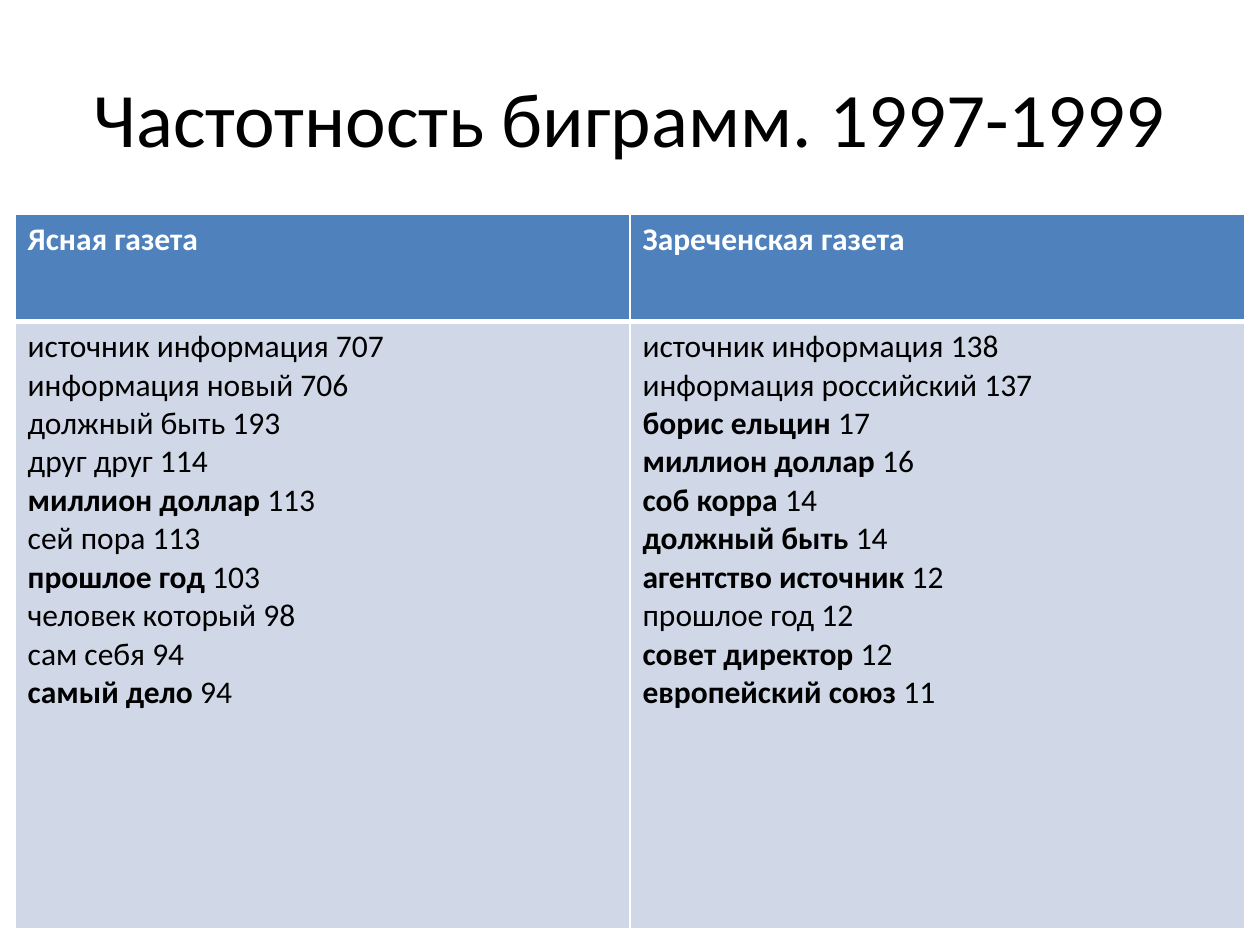
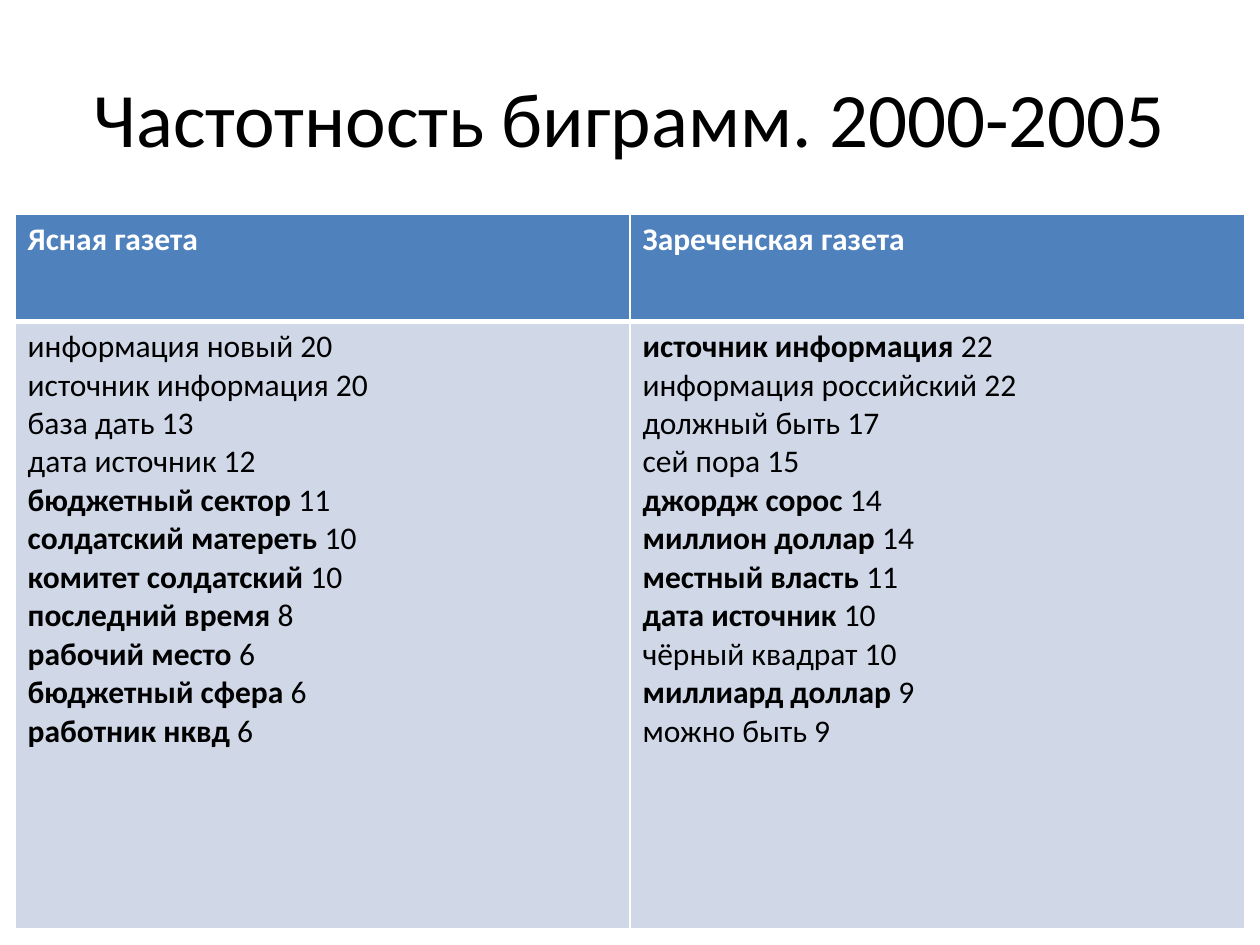
from dataclasses import dataclass

import pptx
import pptx.dml.color
import pptx.enum.text
import pptx.oxml.ns
import pptx.presentation
import pptx.slide
import pptx.table
import pptx.text.text
import pptx.util
from lxml import etree
from pptx.util import Inches


@dataclass(frozen=True)
class Theme:
    font: str = "Calibri"
    title_size: int = 44
    table_size: int = 18
    text: str = "000000"
    header_text: str = "FFFFFF"
    header_fill: str = "4F81BD"
    body_fill: str = "D0D8E8"
    border: str = "FFFFFF"
    thin_border: int = 1
    thick_border: int = 3


@dataclass(frozen=True)
class Bigram:
    words: str
    count: int
    bold: bool = False


@dataclass(frozen=True)
class Period:
    years: str
    columns: tuple[tuple[Bigram, ...], ...]


THEME = Theme()
NEWSPAPERS = ("Ясная газета", "Зареченская газета")
ROW_HEIGHTS = (Inches(0.85), Inches(4.82))
COLUMN_WIDTH = Inches(4.88)

PERIODS = (
    Period("1997-1999", (
        (
            Bigram("источник информация", 707),
            Bigram("информация новый", 706),
            Bigram("должный быть", 193),
            Bigram("друг друг", 114),
            Bigram("миллион доллар", 113, True),
            Bigram("сей пора", 113),
            Bigram("прошлое год", 103, True),
            Bigram("человек который", 98),
            Bigram("сам себя", 94),
            Bigram("самый дело", 94, True),
        ),
        (
            Bigram("источник информация", 138),
            Bigram("информация российский", 137),
            Bigram("борис ельцин", 17, True),
            Bigram("миллион доллар", 16, True),
            Bigram("соб корра", 14, True),
            Bigram("должный быть", 14, True),
            Bigram("агентство источник", 12, True),
            Bigram("прошлое год", 12),
            Bigram("совет директор", 12, True),
            Bigram("европейский союз", 11, True),
        ),
    )),
    Period("2000-2005", (
        (
            Bigram("информация новый", 20),
            Bigram("источник информация", 20),
            Bigram("база дать", 13),
            Bigram("дата источник", 12),
            Bigram("бюджетный сектор", 11, True),
            Bigram("солдатский матереть", 10, True),
            Bigram("комитет солдатский", 10, True),
            Bigram("последний время", 8, True),
            Bigram("рабочий место", 6, True),
            Bigram("бюджетный сфера", 6, True),
            Bigram("работник нквд", 6, True),
        ),
        (
            Bigram("источник информация", 22, True),
            Bigram("информация российский", 22),
            Bigram("должный быть", 17),
            Bigram("сей пора", 15),
            Bigram("джордж сорос", 14, True),
            Bigram("миллион доллар", 14, True),
            Bigram("местный власть", 11, True),
            Bigram("дата источник", 10, True),
            Bigram("чёрный квадрат", 10),
            Bigram("миллиард доллар", 9, True),
            Bigram("можно быть", 9),
        ),
    )),
)


def set_font(font: pptx.text.text.Font, size: int, color: str) -> None:
    font.name = THEME.font
    font.size = pptx.util.Pt(size)
    font.color.rgb = pptx.dml.color.RGBColor.from_string(color)


def style_cell(cell: pptx.table._Cell, fill: str, top: int, bottom: int) -> None:
    """Draw the cell borders, then the fill, in the order the schema asks for."""
    qn = pptx.oxml.ns.qn
    properties = cell._tc.get_or_add_tcPr()
    widths = {"lnL": THEME.thin_border, "lnR": THEME.thin_border, "lnT": top, "lnB": bottom}
    for side, width in widths.items():
        line = etree.SubElement(properties, qn(f"a:{side}"), w=str(pptx.util.Pt(width)))
        solid = etree.SubElement(line, qn("a:solidFill"))
        etree.SubElement(solid, qn("a:srgbClr"), val=THEME.border)
    cell.fill.solid()
    cell.fill.fore_color.rgb = pptx.dml.color.RGBColor.from_string(fill)


def add_title(slide: pptx.slide.Slide, title: str) -> None:
    frame = slide.shapes.add_textbox(
        Inches(0.5), Inches(0.3), Inches(9), Inches(1.25)).text_frame
    frame.word_wrap = True
    frame.vertical_anchor = pptx.enum.text.MSO_ANCHOR.MIDDLE
    paragraph = frame.paragraphs[0]
    paragraph.text = title
    paragraph.alignment = pptx.enum.text.PP_ALIGN.CENTER
    set_font(paragraph.font, THEME.title_size, THEME.text)


def fill_header(cell: pptx.table._Cell, newspaper: str) -> None:
    style_cell(cell, THEME.header_fill, THEME.thin_border, THEME.thick_border)
    cell.text = newspaper
    font = cell.text_frame.paragraphs[0].font
    set_font(font, THEME.table_size, THEME.header_text)
    font.bold = True


def fill_bigrams(cell: pptx.table._Cell, bigrams: tuple[Bigram, ...]) -> None:
    style_cell(cell, THEME.body_fill, THEME.thick_border, THEME.thin_border)
    frame = cell.text_frame
    for index, bigram in enumerate(bigrams):
        paragraph = frame.add_paragraph() if index else frame.paragraphs[0]
        set_font(paragraph.font, THEME.table_size, THEME.text)
        if bigram.bold:
            words = paragraph.add_run()
            words.text = f"{bigram.words} "
            words.font.bold = True
            paragraph.add_run().text = str(bigram.count)
        else:
            paragraph.add_run().text = f"{bigram.words} {bigram.count}"


def add_frequency_table(slide: pptx.slide.Slide, period: Period) -> None:
    table = slide.shapes.add_table(
        len(ROW_HEIGHTS), len(NEWSPAPERS), Inches(0.12), Inches(1.7),
        COLUMN_WIDTH * len(NEWSPAPERS), sum(ROW_HEIGHTS)).table
    table.horz_banding = False
    for row, height in zip(table.rows, ROW_HEIGHTS):
        row.height = height
    for index, (newspaper, bigrams) in enumerate(zip(NEWSPAPERS, period.columns)):
        table.columns[index].width = COLUMN_WIDTH
        fill_header(table.cell(0, index), newspaper)
        fill_bigrams(table.cell(1, index), bigrams)


def add_period_slide(presentation: pptx.presentation.Presentation, period: Period) -> None:
    slide = presentation.slides.add_slide(presentation.slide_layouts[6])
    add_title(slide, f"Частотность биграмм. {period.years}")
    add_frequency_table(slide, period)


def main() -> None:
    presentation = pptx.Presentation()
    presentation.slide_width = Inches(10)
    presentation.slide_height = Inches(7.5)
    for period in PERIODS:
        add_period_slide(presentation, period)
    presentation.save("out.pptx")


if __name__ == "__main__":
    main()
